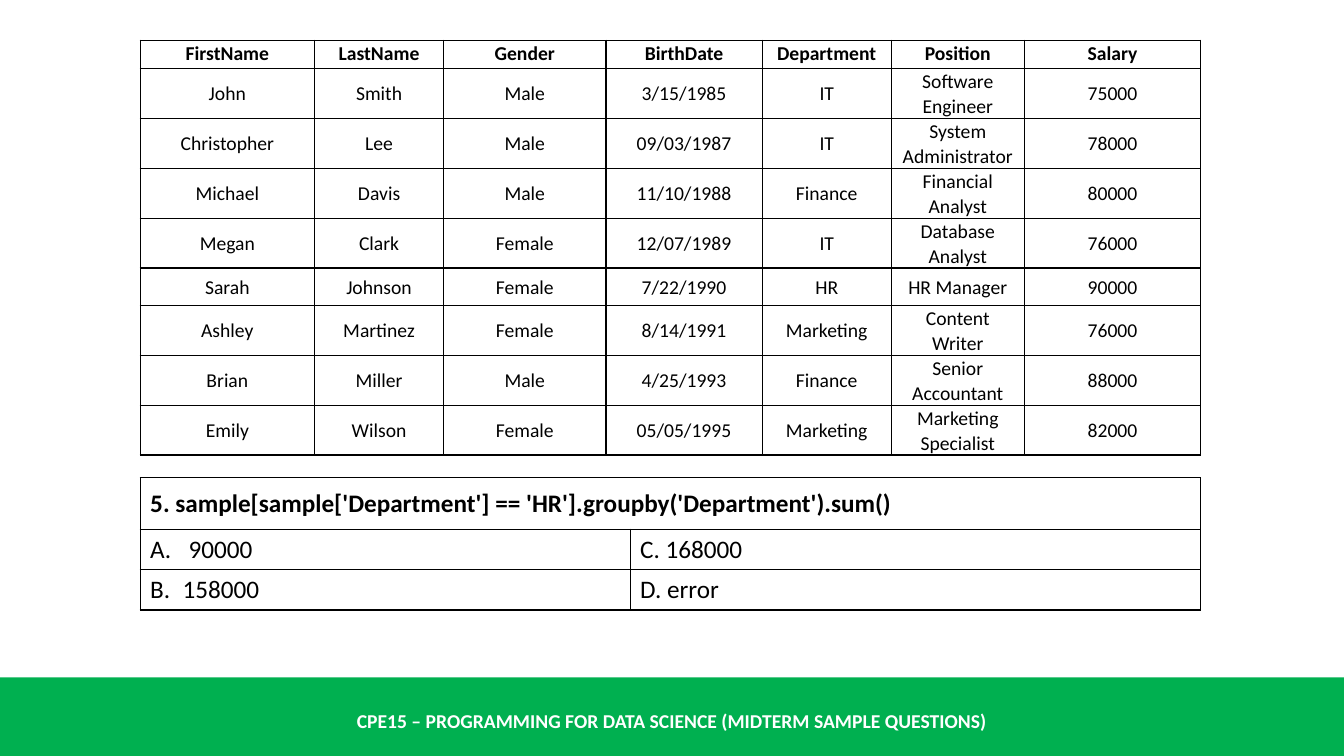
from lxml import etree
from pptx import Presentation
from pptx.dml.color import RGBColor
from pptx.enum.shapes import MSO_SHAPE
from pptx.enum.text import MSO_ANCHOR, PP_ALIGN
from pptx.oxml import parse_xml
from pptx.oxml.ns import nsdecls, qn
from pptx.util import Inches, Pt

BLACK = RGBColor(0x00, 0x00, 0x00)
WHITE = RGBColor(0xFF, 0xFF, 0xFF)
GREEN = RGBColor(0x00, 0xB0, 0x50)
RECTANGLE = MSO_SHAPE.RECTANGLE
CENTER, LEFT = PP_ALIGN.CENTER, PP_ALIGN.LEFT
MIDDLE, TOP = MSO_ANCHOR.MIDDLE, MSO_ANCHOR.TOP

EMPLOYEES = [
    ["FirstName", "LastName", "Gender", "BirthDate", "Department", "Position", "Salary"],
    ["John", "Smith", "Male", "3/15/1985", "IT", "Software Engineer", "75000"],
    ["Christopher", "Lee", "Male", "09/03/1987", "IT", "System Administrator", "78000"],
    ["Michael", "Davis", "Male", "11/10/1988", "Finance", "Financial Analyst", "80000"],
    ["Megan", "Clark", "Female", "12/07/1989", "IT", "Database Analyst", "76000"],
    ["Sarah", "Johnson", "Female", "7/22/1990", "HR", "HR Manager", "90000"],
    ["Ashley", "Martinez", "Female", "8/14/1991", "Marketing", "Content Writer", "76000"],
    ["Brian", "Miller", "Male", "4/25/1993", "Finance", "Senior Accountant", "88000"],
    ["Emily", "Wilson", "Female", "05/05/1995", "Marketing", "Marketing Specialist", "82000"],
]
QUESTION = "5. sample[sample['Department'] == 'HR'].groupby('Department').sum()"
ANSWERS = [["90000", "C. 168000"], ["B.\t158000", "D. error"]]
HANGING = {"90000": 0.38, "B.\t158000": 0.32}


def write(frame, text, size=14, color=BLACK, bold=False, align=CENTER, spacing=None,
          hanging=0, numbered=False):
    para = frame.paragraphs[0]
    para.alignment = align
    para.line_spacing = spacing
    if hanging:
        properties = para._p.get_or_add_pPr()
        properties.set("marL", str(Inches(hanging)))
        properties.set("indent", str(-Inches(hanging)))
        if numbered:
            etree.SubElement(properties, qn("a:buAutoNum"), type="alphaUcPeriod")
    span = para.add_run()
    span.text = text
    span.font.name = "Calibri"
    span.font.size = Pt(size)
    span.font.bold = bold
    span.font.color.rgb = color


def add_grid(top, widths, heights):
    """Add a table with no fill and thin black borders."""
    table = slide.shapes.add_table(
        len(heights), len(widths), Inches(1.39), Inches(top),
        Inches(sum(widths)), Inches(sum(heights))).table
    table.first_row = table.horz_banding = False
    for column, width in zip(table.columns, widths):
        column.width = Inches(width)
    for row, height in zip(table.rows, heights):
        row.height = Inches(height)
    for cell in table.iter_cells():
        cell.fill.background()
        cell.vertical_anchor = MIDDLE
        for index, side in enumerate(("lnL", "lnR", "lnT", "lnB")):
            border = parse_xml(
                f'<a:{side} {nsdecls("a")} w="{Pt(1)}"><a:solidFill>'
                f'<a:srgbClr val="{BLACK}"/></a:solidFill></a:{side}>')
            cell._tc.get_or_add_tcPr().insert(index, border)
    return table


deck = Presentation()
deck.slide_width, deck.slide_height = Inches(13.33), Inches(7.5)
slide = deck.slides.add_slide(deck.slide_layouts[6])

# Footer
band = slide.shapes.add_shape(RECTANGLE, 0, Inches(6.72), Inches(13.33), Inches(0.78))
band.shadow.inherit = False
band.fill.solid()
band.fill.fore_color.rgb = GREEN
band.line.fill.background()
footer = slide.shapes.add_textbox(0, Inches(6.95), Inches(13.33), Inches(0.4)).text_frame
footer.word_wrap = True
footer.vertical_anchor = MIDDLE
write(footer, "CPE15 – PROGRAMMING FOR DATA SCIENCE (MIDTERM SAMPLE QUESTIONS)",
      color=WHITE, bold=True)

# Employee data
employee_table = add_grid(0.4, [1.73, 1.28, 1.61, 1.55, 1.28, 1.32, 1.75],
                          [0.28, 0.47, 0.42, 0.43, 0.43, 0.37, 0.37, 0.47, 0.47])
for row_index, employee in enumerate(EMPLOYEES):
    is_header = row_index == 0
    for column_index, value in enumerate(employee):
        cell = employee_table.cell(row_index, column_index)
        cell.margin_left = cell.margin_right = Inches(0.07)
        cell.margin_top = cell.margin_bottom = 0
        cell.vertical_anchor = TOP if is_header else MIDDLE
        write(cell.text_frame, value, bold=is_header, spacing=1.06)

# Question and answers
question_table = add_grid(4.74, [4.86, 5.66], [0.51, 0.34, 0.34])
question = question_table.cell(0, 0)
question.merge(question_table.cell(0, 1))
write(question.text_frame, QUESTION, size=18, bold=True, align=LEFT)
for row_index, answers in enumerate(ANSWERS, start=1):
    for column_index, answer in enumerate(answers):
        write(question_table.cell(row_index, column_index).text_frame, answer, size=18,
              align=LEFT, hanging=HANGING.get(answer, 0), numbered=answer == "90000")

deck.save("out.pptx")
